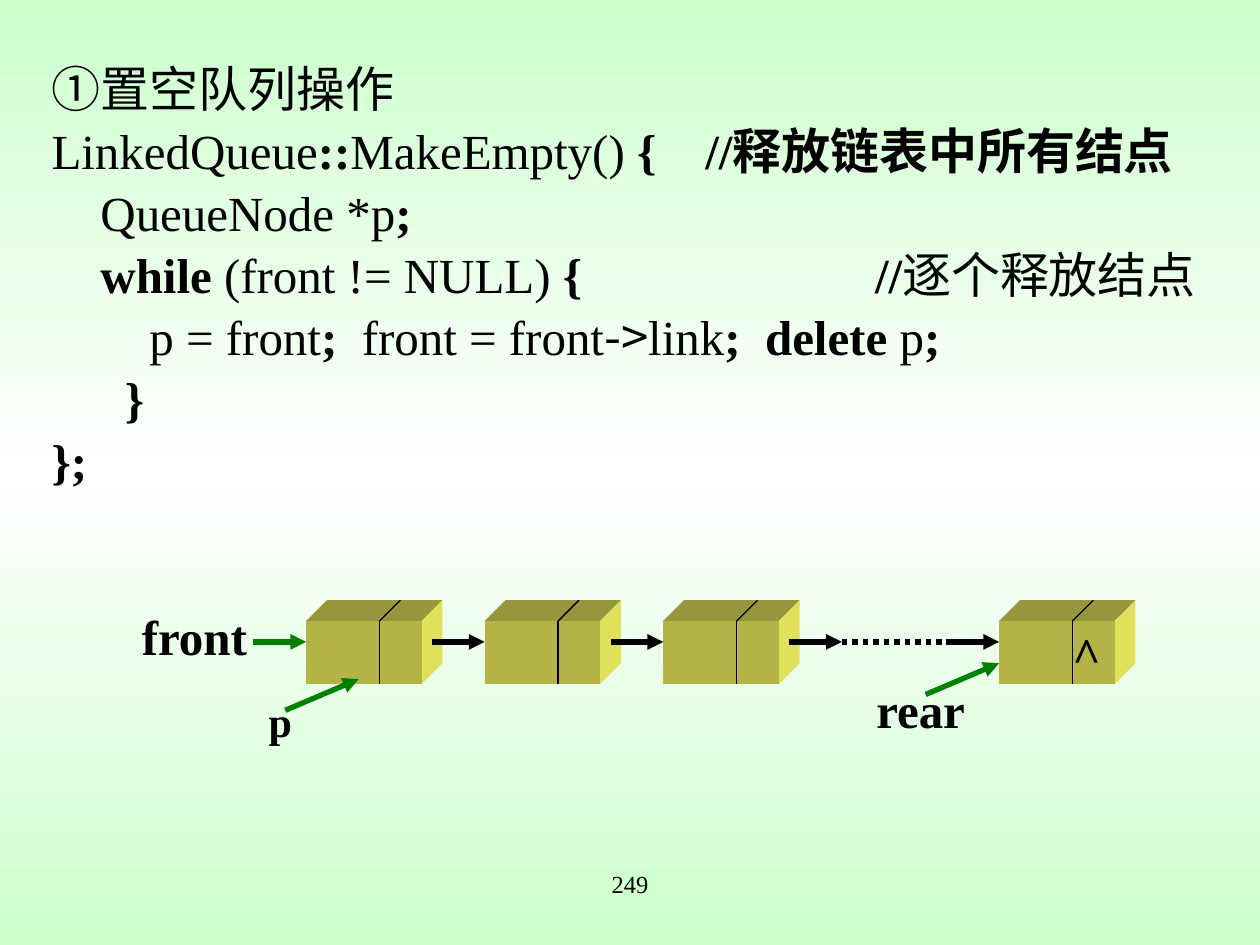
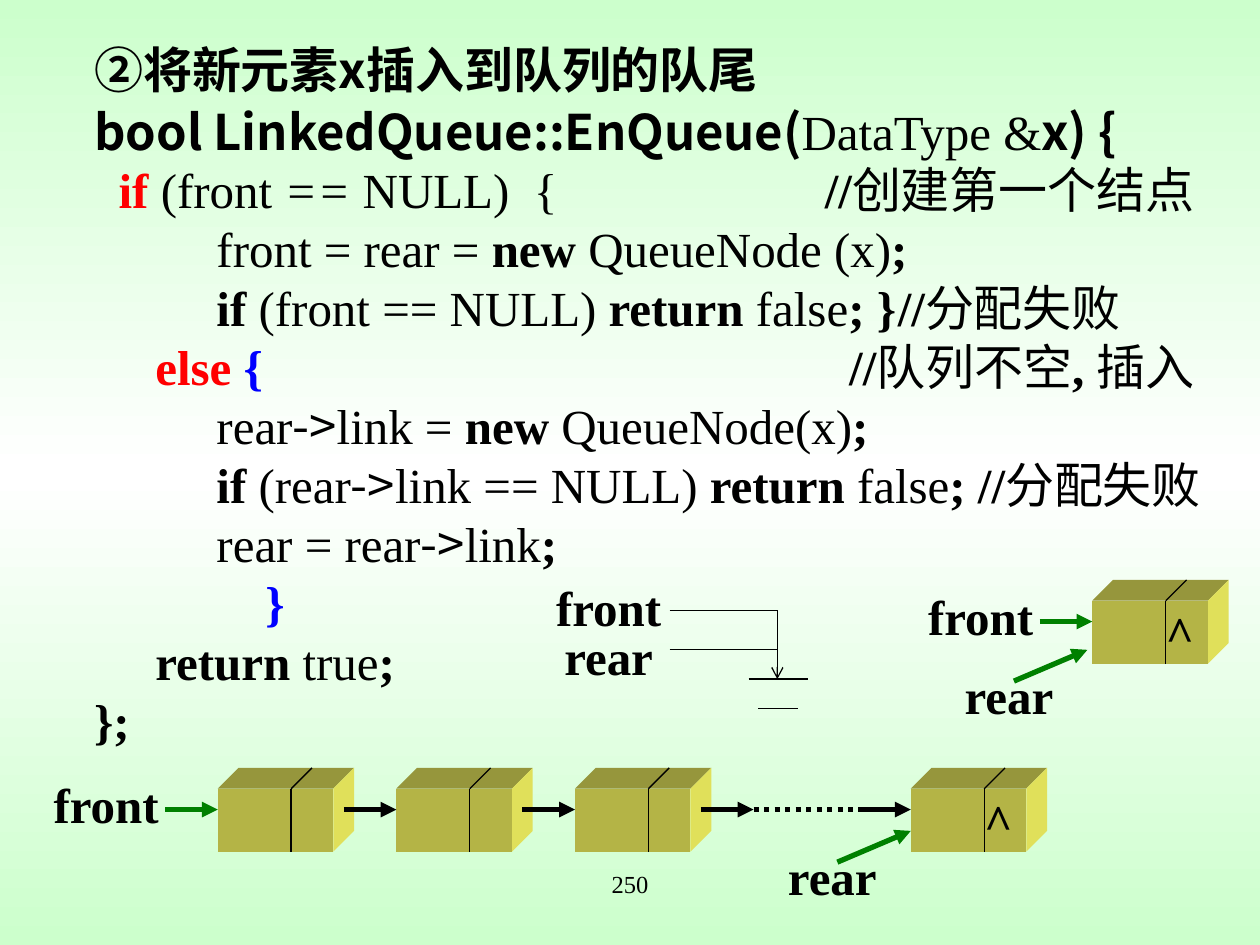
"""Build two slides on clearing and extending a linked queue."""
from dataclasses import dataclass

from lxml import etree
from copy import deepcopy
from pptx import Presentation, util as u
from pptx.dml.color import RGBColor
from pptx.enum import dml, shapes, text
from pptx.oxml.ns import qn

CLEAR = [
    (0, [("①置空队列操作", "")]),
    (13.18, [("LinkedQueue", ""), ("::", "b"), ("MakeEmpty() ", ""), ("{\t//释放链表中所有结点", "b")]),
    (0, [("    QueueNode *p", ""), (";", "b")]),
    (16.6, [("    ", ""), ("while", "b"), (" (front != NULL)", ""), (" {\t//", "b"), ("逐个释放结点", "")]),
    (0, [("        p = front", ""), (";", "b"), ("  front = front", ""), ("->", "n"), ("link", ""),
         (";  delete", "b"), (" p", ""), (";", "b")]),
    (0, [("      }", "b")]),
    (0, [("};", "b")]),
]
INSERT = [
    (0, [("②将新元素x插入到队列的队尾", "bn")]),
    (0, [("bool LinkedQueue::EnQueue(", "bn"), ("DataType &", ""), ("x) {", "bn")]),
    (14.73, [("  ", ""), ("if", "br"), (" (front ", ""), ("==", "i"), (" NULL)  {\t", ""), ("//", "b"),
             ("创建第一个结点", "")]),
    (0, [("          front = rear = ", ""), ("new ", "b"), ("QueueNode (x)", ""), (";", "b")]),
    (16.2, [("          if ", "b"), ("(front == NULL)", ""), (" return ", "b"), ("false", ""),
            ("; }\t//", "b"), ("分配失败", "")]),
    (15.22, [("     ", ""), ("else ", "br"), ("{\t", "bu"), ("//", "b"), ("队列不空", ""), (", ", "b"),
             ("插入", "")]),
    (0, [("          rear", ""), ("->", "n"), ("link = ", ""), ("new", "b"), (" QueueNode(x)", ""), (";", "b")]),
    (0, [("          if ", "b"), ("(rear", ""), ("->", "n"), ("link == NULL)", ""), (" return ", "b"),
         ("false", ""), ("; //", "b"), ("分配失败", "")]),
    (0, [("          rear = rear", ""), ("->", "n"), ("link", ""), (";", "b")]),
    (0, [("              ", "b"), ("}", "bu")]),
    (0, [("     return ", "b"), ("true", ""), (";", "b")]),
    (0, [("};", "b")]),
]
NAMES = [("front", 12.27, 11.51), ("rear", 12.27, 12.5)]
WIRES = [(13.5, 12.3, 15.67, 12.3), (13.5, 13.1, 15.67, 13.1),
         (15.09, 13.69, 16.28, 13.69), (15.29, 14.28, 16.08, 14.28)]
DROP = (15.67, 12.3, 15.67, 13.69)


@dataclass
class Theme:
    ink: str = "000000"
    red: str = "FF0000"
    blue: str = "0000FF"
    green: str = "008000"
    mint: str = "CCFFCC"
    white: str = "FFFFFF"
    face: str = "B4B446"
    top: str = "96963C"
    side: str = "E0E05A"
    serif: str = "Times New Roman"
    sans: str = "Noto Sans CJK SC"
    code: int = 28
    mark: int = 24
    page: int = 14
    thin: float = 0.75
    thick: float = 3


T = Theme()
WIDE, HIGH, DEEP = 2.33, 1.27, 0.42
SPLIT, PITCH, LAST, GAP = 1.48, 3.6, 13.97, 1.06


def tint(code):
    return RGBColor.from_string(code)


def style(font, size, bold=False, color=T.ink, name=T.serif):
    font.size, font.bold, font.name = u.Pt(size), bold, name
    font.color.rgb = tint(color)


def line(kit, x1, y1, x2, y2, color=T.ink, width=T.thin, head=None, dash=None):
    part = kit.add_connector(shapes.MSO_CONNECTOR.STRAIGHT, *map(u.Cm, (x1, y1, x2, y2)))
    part.line.color.rgb = tint(color)
    part.line.width = u.Pt(width)
    if dash:
        part.line.dash_style = dash
    if head:
        etree.SubElement(part.line._get_or_add_ln(), qn("a:tailEnd"), type=head)
    etree.SubElement(part._element.spPr, qn("a:effectLst"))


def arrow(kit, x1, y1, x2, y2, color=T.ink):
    line(kit, x1, y1, x2, y2, color, T.thick, "triangle")


def label(kit, word, mid, top, size=T.code, bold=True, width=2.67):
    box = kit.add_textbox(*map(u.Cm, (mid - width / 2, top, width, 1.45)))
    box.text_frame.word_wrap = True
    para = box.text_frame.paragraphs[0]
    para.text = word
    para.alignment = text.PP_ALIGN.CENTER
    style(para.runs[0].font, size, bold)


def plane(kit, color, spots):
    spots = [(u.Cm(x), u.Cm(y)) for x, y in spots]
    pen = kit.build_freeform(*spots[0])
    pen.add_line_segments(spots[1:])
    part = pen.convert_to_shape()
    part.shadow.inherit = False
    part.fill.solid()
    part.fill.fore_color.rgb = tint(color)
    part.line.fill.background()
    return part


def node(kit, x, y, last=False):
    right, base, back, roof = x + WIDE, y + HIGH, x + WIDE + DEEP, y - DEEP
    plane(kit, T.top, [(x, y), (x + DEEP, roof), (back, roof), (right, y)])
    plane(kit, T.side, [(right, y), (back, roof), (back, base - DEEP), (right, base)])
    front = plane(kit, T.face, [(x, y), (right, y), (right, base), (x, base)])
    if last:
        frame = front.text_frame
        frame.margin_left, frame.margin_right = u.Cm(1.2), 0
        frame.vertical_anchor = text.MSO_ANCHOR.MIDDLE
        frame.word_wrap = False
        frame.text = "^"
        frame.paragraphs[0].alignment = text.PP_ALIGN.CENTER
        style(frame.paragraphs[0].runs[0].font, T.code, True)
    line(kit, x + SPLIT, y, x + SPLIT, base)
    line(kit, x + SPLIT, y, x + SPLIT + DEEP, roof)


def lead(kit, x, y):
    label(kit, "front", x - 2.25, y - DEEP)
    arrow(kit, x - GAP, y + DEEP, x, y + DEEP, T.green)


def point(kit, word, x, y, size=T.code):
    label(kit, word, x - 1.58, y + 0.2, size)
    arrow(kit, x - 1.48, y + 0.63, x, y, T.green)


def chain(slide, x, y):
    kit = slide.shapes.add_group_shape().shapes
    mid, end = y + DEEP, x + LAST
    for k in range(3):
        node(kit, x + k * PITCH, y)
    node(kit, end, y, True)
    for k in range(1, 4):
        arrow(kit, x + k * PITCH - GAP, mid, x + k * PITCH, mid)
    line(kit, x + 3 * PITCH, mid, end - GAP, mid, width=T.thick, dash=dml.MSO_LINE.ROUND_DOT)
    arrow(kit, end - GAP, mid, end, mid)
    lead(kit, x, y)
    point(kit, "rear", end, y + 0.85)


def write(slide, rows, x, y, wide, high, steps):
    frame = slide.shapes.add_textbox(*map(u.Cm, (x, y, wide, high))).text_frame
    frame.word_wrap = True
    hues = {"r": T.red, "u": T.blue}
    for k, (stop, runs) in enumerate(rows):
        para = frame.add_paragraph() if k else frame.paragraphs[0]
        if stop:
            tabs = etree.SubElement(para._p.get_or_add_pPr(), qn("a:tabLst"))
            etree.SubElement(tabs, qn("a:tab"), pos=str(u.Cm(stop)), algn="l")
        para.line_spacing = u.Pt(steps(k))
        for words, flags in runs:
            run = para.add_run()
            run.text = words
            hue = next((hues[f] for f in flags if f in hues), T.ink)
            style(run.font, T.code, "b" in flags, hue, T.sans if "n" in flags else T.serif)
            run.font.italic = "i" in flags
            run.font._element.find(qn("a:latin")).addnext(
                etree.Element(qn("a:ea"), typeface=T.sans))


def paint(master):
    fill = master.background.fill
    fill.gradient()
    fill.gradient_angle = 90
    stops = master.element.find(".//" + qn("p:bg")).find(".//" + qn("a:gsLst"))
    while len(stops) > 1:
        stops.remove(stops[-1])
    for _ in range(2):
        stops.append(deepcopy(stops[0]))
    for k, stop in enumerate(fill.gradient_stops):
        stop.position = k / 2
        stop.color.rgb = tint(T.white if k == 1 else T.mint)


def sheet(deck, page):
    slide = deck.slides.add_slide(deck.slide_layouts[6])
    label(slide.shapes, page, 12.7, 17.4, T.page, False, 8.05)
    return slide


def main():
    deck = Presentation()
    deck.slide_width, deck.slide_height = u.Cm(25.4), u.Cm(19.05)
    paint(deck.slide_master)

    clear = sheet(deck, "249")
    write(clear, CLEAR, 0.79, 1.0, 23.9, 16.33, lambda k: 35.4)
    chain(clear, 6.17, 12.52)
    point(clear.shapes, "p", 7.23, 13.69, T.mark)

    insert = sheet(deck, "250")
    write(insert, INSERT, 1.65, 0.6, 23.75, 17.22, lambda k: 35.4 if k < 2 else 33.7)
    chain(insert, 4.39, 15.9)
    kit = insert.shapes.add_group_shape().shapes
    node(kit, 22.02, 12.11, True)
    lead(kit, 22.02, 12.11)
    point(kit, "rear", 21.92, 13.1)
    for word, mid, top in NAMES:
        label(insert.shapes, word, mid, top)
    for wire in WIRES:
        line(insert.shapes, *wire)
    line(insert.shapes, *DROP, head="arrow")
    deck.save("out.pptx")


if __name__ == "__main__":
    main()
